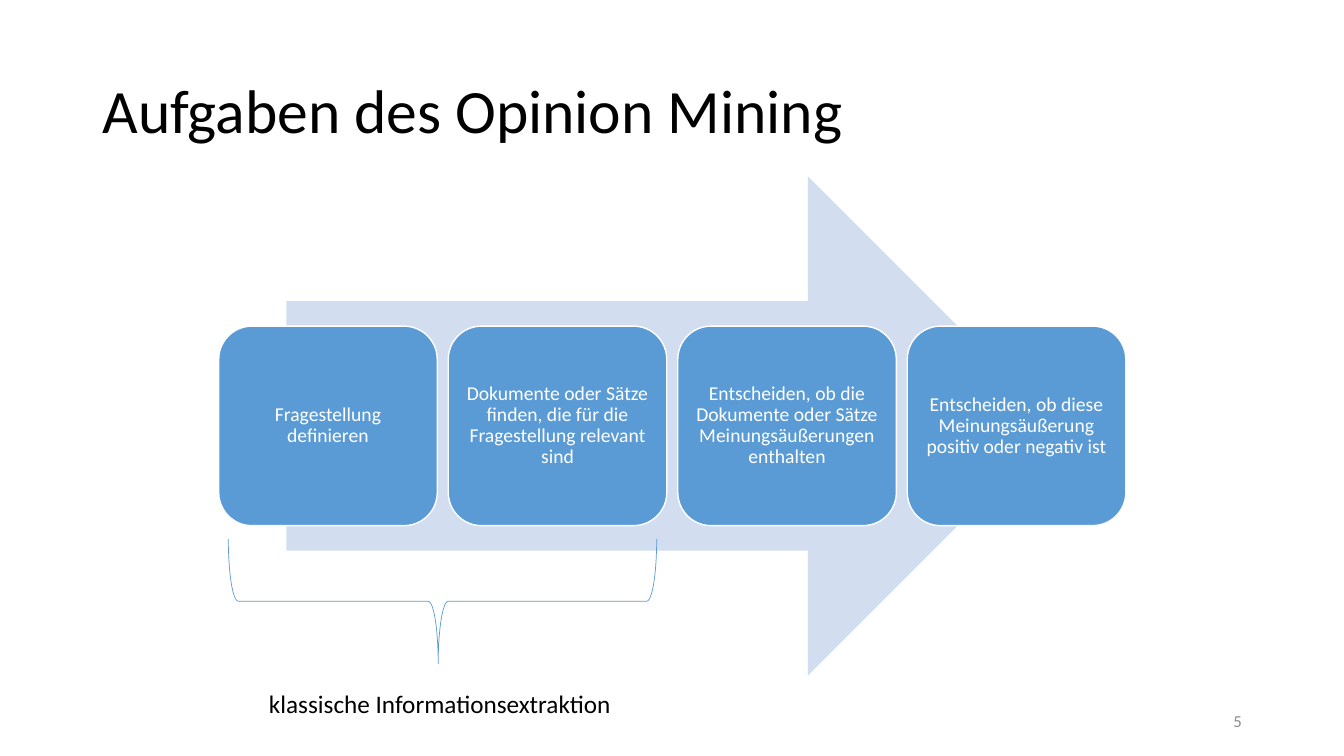
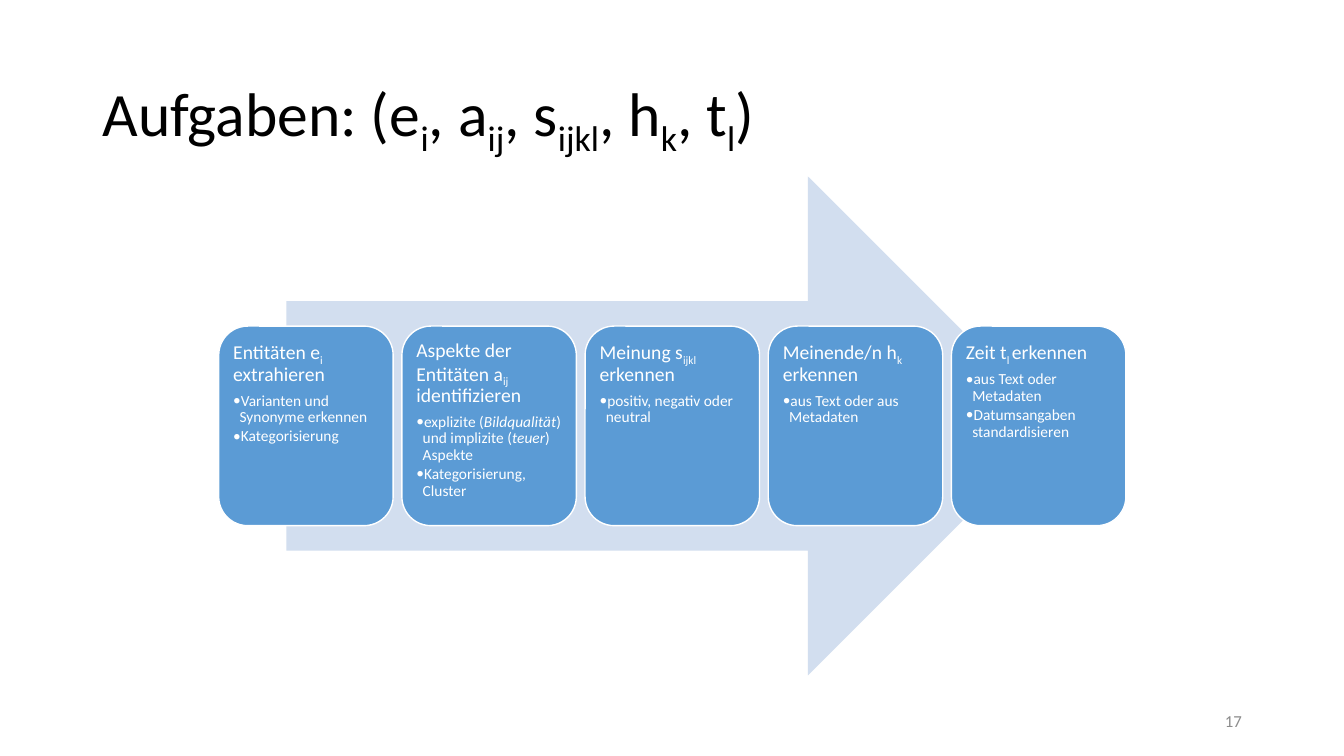
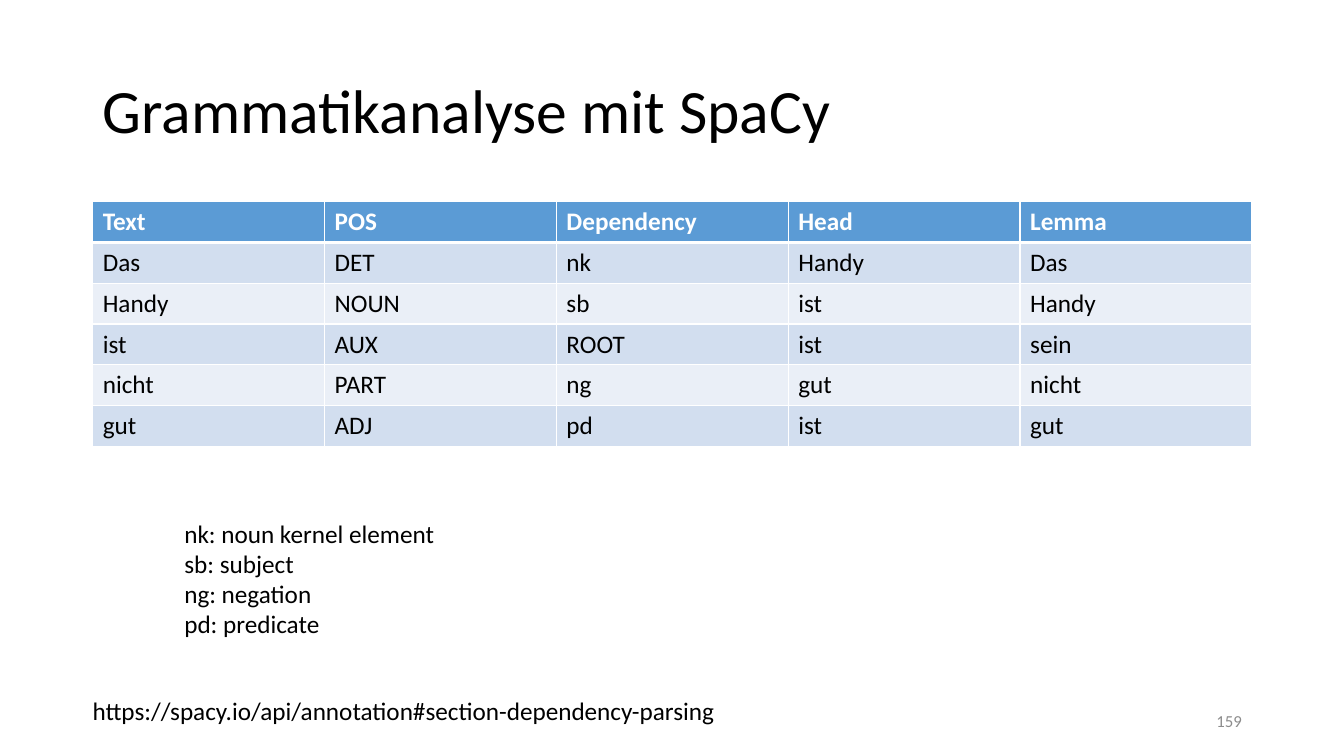
from lxml import etree
from pptx import Presentation
from pptx import util as u
from pptx.dml.color import RGBColor
from pptx.enum import shapes, text
from pptx.oxml.ns import qn

HUES = {"blue": "5B9BD5", "pale": "D2DEEF", "light": "EAEFF7",
        "white": "FFFFFF", "black": "000000", "grey": "8C8C8C"}
FONT = "Calibri"
KIND = shapes.MSO_SHAPE
SIDE = text.PP_ALIGN
MID = text.MSO_ANCHOR.MIDDLE


def hue(name):
    return RGBColor.from_string(HUES[name])


def style(para, size, color, side=SIDE.LEFT, bold=False):
    para.alignment = side
    for run in para.runs:
        font = run.font
        font.name, font.size, font.bold = FONT, u.Pt(size), bold
        font.color.rgb = hue(color)


def runs(para, words, mark):
    """Every second part between bars is special."""
    for i, part in enumerate(words.split("|")):
        run = para.add_run()
        run.text = part
        if i % 2:
            mark(run)


def lower(run):
    run._r.get_or_add_rPr().set("baseline", "-25000")


def slant(run):
    run.font.italic = True


def bullet(para):
    para.level = 1
    props = para._p.get_or_add_pPr()
    props.set("marL", "57150")
    props.set("indent", "-57150")
    etree.SubElement(props, qn("a:buFont")).set("typeface", FONT)
    etree.SubElement(props, qn("a:buChar")).set("char", "•")


def place(item, x, y, w, h):
    item.left, item.top = u.Inches(x), u.Inches(y)
    item.width, item.height = u.Inches(w), u.Inches(h)


def label(slide, lines, x, y, w, h):
    box = slide.shapes.add_textbox(*map(u.Inches, (x, y, w, h)))
    frame = box.text_frame
    frame.text = "\n".join(lines)
    frame.word_wrap = False
    frame.auto_size = text.MSO_AUTO_SIZE.SHAPE_TO_FIT_TEXT
    for para in frame.paragraphs:
        style(para, 18, "black")


def shape(slide, kind, x, y, w, h, fill=None, line=None, width=1):
    item = slide.shapes.add_shape(kind, *map(u.Inches, (x, y, w, h)))
    item.shadow.inherit = False
    if fill:
        item.fill.solid()
        item.fill.fore_color.rgb = hue(fill)
    else:
        item.fill.background()
    if line:
        item.line.color.rgb = hue(line)
        item.line.width = u.Pt(width)
    else:
        item.line.fill.background()
    return item


def page(deck, title, number):
    slide = deck.slides.add_slide(deck.slide_layouts[5])
    # Title
    head = slide.shapes.title
    place(head, 0.92, 0.4, 11.5, 1.45)
    head.text_frame.vertical_anchor = MID
    para = head.text_frame.paragraphs[0]
    runs(para, title, lower)
    para.line_spacing = 0.9
    style(para, 44, "black")
    # Page number
    box = slide.shapes.add_textbox(*map(u.Inches, (9.42, 6.95, 3, 0.4)))
    box.text_frame.text = str(number)
    box.text_frame.word_wrap = True
    box.text_frame.vertical_anchor = MID
    style(box.text_frame.paragraphs[0], 12, "grey", SIDE.RIGHT)
    return slide


def process(slide, steps, center=False):
    """Equal boxes on a wide arrow; each gap is a twentieth of a box."""
    top, high = 1.75, 4.95
    shape(slide, KIND.RIGHT_ARROW, 2.84, top, 7.65, high, "pale")
    count = len(steps)
    wide = 9 / (count + (count - 1) / 20)
    for i, (head, *points) in enumerate(steps):
        box = shape(slide, KIND.ROUNDED_RECTANGLE, 2.17 + i * wide * 1.05,
                    top + 0.3 * high, wide, 0.4 * high, "blue", "white")
        frame = box.text_frame
        frame.word_wrap = True
        frame.vertical_anchor = MID if center else text.MSO_ANCHOR.TOP
        frame.margin_left = frame.margin_right = u.Inches(0.06)
        frame.margin_top = frame.margin_bottom = u.Inches(0.06)
        para = frame.paragraphs[0]
        runs(para, head, lower)
        para.line_spacing, para.space_after = 0.9, u.Pt(4.9)
        style(para, 14, "white", SIDE.CENTER if center else SIDE.LEFT)
        for point in points:
            para = frame.add_paragraph()
            bullet(para)
            runs(para, point, slant)
            para.line_spacing, para.space_after = 0.9, u.Pt(1.65)
            style(para, 11, "white")


def edges(cell, row):
    """White cell borders, thicker below the header."""
    props = cell._tc.get_or_add_tcPr()
    wide = {"lnT": 3 if row == 1 else 1, "lnB": 3 if row == 0 else 1}
    for i, tag in enumerate(("lnL", "lnR", "lnT", "lnB")):
        line = etree.Element(qn("a:" + tag))
        line.set("w", str(u.Pt(wide.get(tag, 1))))
        fill = etree.SubElement(line, qn("a:solidFill"))
        etree.SubElement(fill, qn("a:srgbClr")).set("val", HUES["white"])
        props.insert(i, line)


def grid(slide, rows, x, y, w, h):
    frame = slide.shapes.add_table(len(rows), len(rows[0]),
                                   *map(u.Inches, (x, y, w, h)))
    for r, row in enumerate(rows):
        fill = "blue" if r == 0 else "pale" if r % 2 else "light"
        for c, word in enumerate(row):
            cell = frame.table.cell(r, c)
            cell.text = word
            cell.fill.solid()
            cell.fill.fore_color.rgb = hue(fill)
            edges(cell, r)
            style(cell.text_frame.paragraphs[0], 18,
                  "black" if r else "white", bold=r == 0)


def main():
    deck = Presentation()
    deck.slide_width, deck.slide_height = u.Inches(40 / 3), u.Inches(7.5)

    # Tasks of opinion mining
    slide = page(deck, "Aufgaben des Opinion Mining", 5)
    process(slide, [
        ["Fragestellung definieren"],
        ["Dokumente oder Sätze finden, die für die Fragestellung relevant sind"],
        ["Entscheiden, ob die Dokumente oder Sätze Meinungsäußerungen enthalten"],
        ["Entscheiden, ob diese Meinungsäußerung positiv oder negativ ist"],
    ], center=True)
    brace = shape(slide, KIND.LEFT_BRACE, 3.77, 3.84, 1.24, 4.25,
                  line="blue", width=0.5)
    brace.rotation = 270
    brace.adjustments[0], brace.adjustments[1] = 0.08, 0.49
    label(slide, ["klassische Informationsextraktion"], 2.57, 6.78, 3.63, 0.4)

    # Tasks by part of the tuple
    slide = page(deck, "Aufgaben: (e|i|, a|ij|, s|ijkl|, h|k|, t|l|)", 17)
    process(slide, [
        ["Entitäten e|i |extrahieren",
         "Varianten und Synonyme erkennen", "Kategorisierung"],
        ["Aspekte der Entitäten a|ij |identifizieren",
         "explizite (|Bildqualität|) und implizite (|teuer|) Aspekte",
         "Kategorisierung, Cluster"],
        ["Meinung s|ijkl |erkennen", "positiv, negativ oder neutral"],
        ["Meinende/n h|k |erkennen", "aus Text oder aus Metadaten"],
        ["Zeit t|l |erkennen",
         "aus Text oder Metadaten", "Datumsangaben standardisieren"],
    ])

    # Grammar table
    slide = page(deck, "Grammatikanalyse mit SpaCy", 159)
    grid(slide, [
        ["Text", "POS", "Dependency", "Head", "Lemma"],
        ["Das", "DET", "nk", "Handy", "Das"],
        ["Handy", "NOUN", "sb", "ist", "Handy"],
        ["ist", "AUX", "ROOT", "ist", "sein"],
        ["nicht", "PART", "ng", "gut", "nicht"],
        ["gut", "ADJ", "pd", "ist", "gut"],
    ], 0.92, 2, 11.5, 2.43)
    label(slide, ["nk: noun kernel element", "sb: subject", "ng: negation",
                  "pd: predicate"], 1.73, 5.09, 2.71, 1.31)
    label(slide, ["https://spacy.io/api/annotation#section-dependency-parsing"],
          0.82, 6.85, 6.46, 0.4)

    deck.save("out.pptx")


if __name__ == "__main__":
    main()
